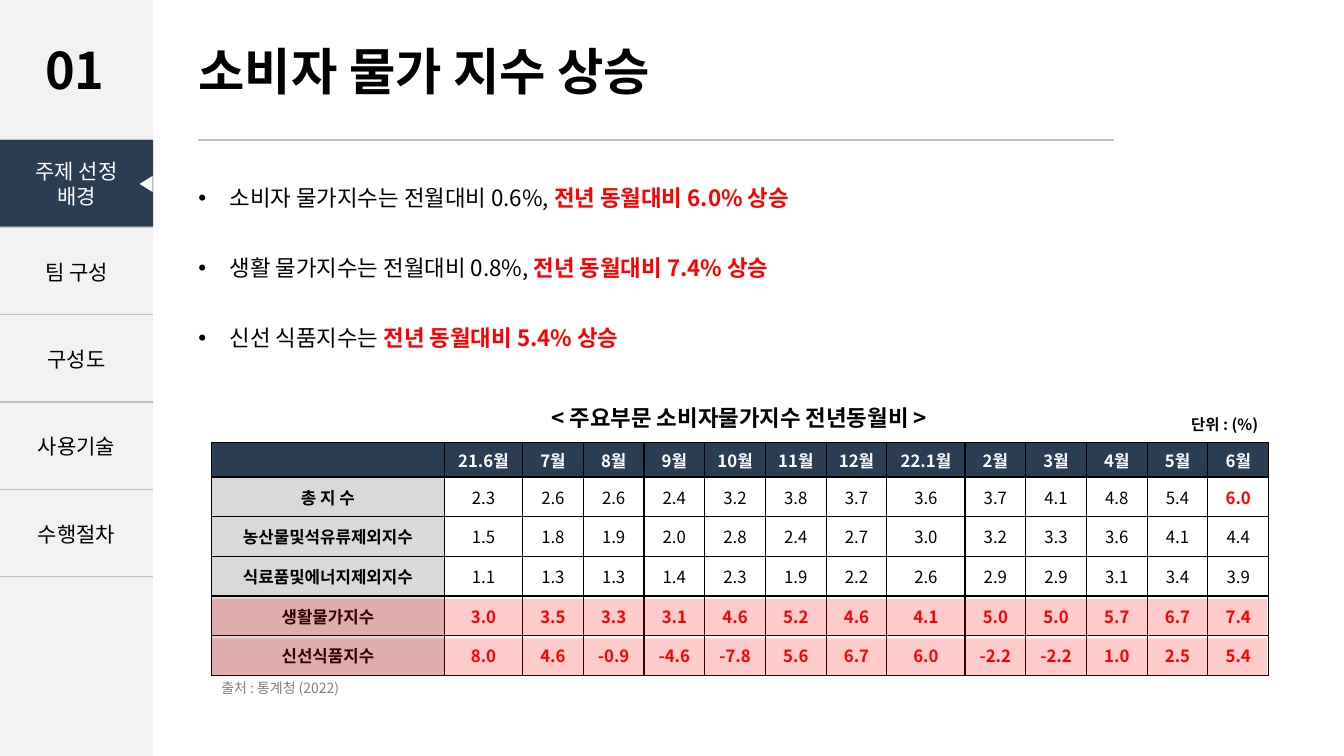
from dataclasses import dataclass

from lxml.etree import SubElement
from pptx import Presentation
from pptx.dml.color import RGBColor
from pptx.enum.shapes import MSO_CONNECTOR, MSO_SHAPE as Preset
from pptx.enum.text import MSO_ANCHOR as Anchor, PP_ALIGN as Align
from pptx.oxml.ns import qn
from pptx.util import Cm, Pt

FONT = "Noto Sans CJK KR"
COLORS = {
    "navy": "2A3D52", "black": "000000", "white": "FFFFFF", "red": "FF0000",
    "panel": "F2F2F2", "label": "D9D9D9", "rule": "BFBFBF", "source": "808080",
}
MONTHS = ["21.6월", "7월", "8월", "9월", "10월", "11월", "12월",
          "22.1월", "2월", "3월", "4월", "5월", "6월"]
WIDE_MONTHS = ("21.6월", "22.1월")
TABS = ["팀 구성", "구성도", "사용기술", "수행절차"]
TABLE_LEFT, TABLE_TOP, TABLE_WIDTH = 5.33, 11.15, 26.6
HEADER_HEIGHT, ROW_HEIGHT = 0.86, 1.0
SIDEBAR_WIDTH, RULE_TOP, TAB_HEIGHT = 3.86, 3.53, 2.2


@dataclass
class Style:
    size: float
    color: str = "black"
    bold: bool = False
    align: Align = Align.LEFT


@dataclass
class Label:
    text: str
    left: float
    top: float
    width: float
    height: float
    style: Style
    wrap: bool = True


@dataclass
class Bullet:
    plain: str
    stressed: str


@dataclass
class IndexRow:
    name: str
    values: str
    highlighted: bool = False


LABELS = [
    Label("< 주요부문 소비자물가지수 전년동월비 >", 10.16, 10.06, 16.94, 0.94,
          Style(16, bold=True, align=Align.CENTER)),
    Label("단위 : (%)", 29.77, 10.34, 2.74, 0.74, Style(11, bold=True)),
    Label("01", 0.89, 0.86, 2.08, 1.8, Style(36, bold=True), wrap=False),
    Label("출처 : 통계청 (2022)", 5.33, 16.99, 3.73, 0.69, Style(10, "source")),
]
BULLETS = [
    Bullet("소비자 물가지수는 전월대비 0.6%, ", "전년 동월대비 6.0% 상승"),
    Bullet("생활 물가지수는 전월대비 0.8%, ", "전년 동월대비 7.4% 상승"),
    Bullet("신선 식품지수는 ", "전년 동월대비 5.4% 상승"),
]
INDEX_ROWS = [
    IndexRow("총 지 수", "2.3 2.6 2.6 2.4 3.2 3.8 3.7 3.6 3.7 4.1 4.8 5.4 6.0"),
    IndexRow("농산물및석유류제외지수", "1.5 1.8 1.9 2.0 2.8 2.4 2.7 3.0 3.2 3.3 3.6 4.1 4.4"),
    IndexRow("식료품및에너지제외지수", "1.1 1.3 1.3 1.4 2.3 1.9 2.2 2.6 2.9 2.9 3.1 3.4 3.9"),
    IndexRow("생활물가지수", "3.0 3.5 3.3 3.1 4.6 5.2 4.6 4.1 5.0 5.0 5.7 6.7 7.4", True),
    IndexRow("신선식품지수", "8.0 4.6 -0.9 -4.6 -7.8 5.6 6.7 6.0 -2.2 -2.2 1.0 2.5 5.4", True),
]


def rgb(name: str) -> RGBColor:
    return RGBColor.from_string(COLORS[name])


def style_font(font, style: Style) -> None:
    font.name, font.size, font.bold = FONT, Pt(style.size), style.bold
    font.color.rgb = rgb(style.color)


def style_para(para, style: Style) -> None:
    """Format a whole paragraph, East Asian typeface included."""
    para.alignment = style.align
    style_font(para.font, style)
    defaults = para._p.pPr.find(qn("a:defRPr"))
    SubElement(defaults, qn("a:ea"), typeface=FONT)


def write(frame, text: str, style: Style) -> None:
    frame.text = text
    for para in frame.paragraphs:
        style_para(para, style)


def add_filled(shapes, preset, left: float, top: float, width: float, height: float, color: str):
    shape = shapes.add_shape(preset, Cm(left), Cm(top), Cm(width), Cm(height))
    shape.shadow.inherit = False
    shape.fill.solid()
    shape.fill.fore_color.rgb = rgb(color)
    shape.line.fill.background()
    return shape


def set_borders(cell, edges: dict[str, str | None]) -> None:
    """Draw 1 pt edges, keyed L, R, T, B; None hides an edge."""
    props = cell._tc.get_or_add_tcPr()
    for position, (edge, color) in enumerate(edges.items()):
        line = SubElement(props, qn(f"a:ln{edge}"), w=str(Pt(1)))
        props.insert(position, line)
        if color is None:
            SubElement(line, qn("a:noFill"))
        else:
            fill = SubElement(line, qn("a:solidFill"))
            SubElement(fill, qn("a:srgbClr"), val=COLORS[color])


def add_plain_table(slide, left: float, top: float, widths: list[float], heights: list[float]):
    frame = slide.shapes.add_table(len(heights), len(widths), Cm(left), Cm(top),
                                   Cm(sum(widths)), Cm(sum(heights)))
    table = frame.table
    table.first_row = table.horz_banding = False
    for column, width in zip(table.columns, widths):
        column.width = Cm(width)
    for row, height in zip(table.rows, heights):
        row.height = Cm(height)
    return table


def fill_cell(cell, text: str, style: Style, color: str) -> None:
    write(cell.text_frame, text, style)
    cell.vertical_anchor = Anchor.MIDDLE
    cell.margin_left = cell.margin_right = Cm(0.1)
    cell.fill.solid()
    cell.fill.fore_color.rgb = rgb(color)
    set_borders(cell, dict.fromkeys("LRTB", "black"))


def add_title(slide) -> None:
    title = slide.shapes.title
    title.left, title.top, title.width, title.height = Cm(4.75), Cm(0.86), Cm(13.1), Cm(1.8)
    write(title.text_frame, "소비자 물가 지수 상승", Style(36, bold=True))
    title.text_frame.vertical_anchor = Anchor.MIDDLE
    rule = slide.shapes.add_connector(MSO_CONNECTOR.STRAIGHT, Cm(4.98), Cm(RULE_TOP),
                                      Cm(28.07), Cm(RULE_TOP))
    rule.line.color.rgb = rgb("rule")
    rule.line.width = Pt(1.5)
    SubElement(rule._element.spPr, qn("a:effectLst"))


def add_label(slide, label: Label) -> None:
    box = slide.shapes.add_textbox(Cm(label.left), Cm(label.top), Cm(label.width), Cm(label.height))
    box.text_frame.word_wrap = label.wrap
    write(box.text_frame, label.text, label.style)


def add_bullets(slide) -> None:
    frame = slide.shapes.add_textbox(Cm(4.75), Cm(4.32), Cm(28.68), Cm(4.6)).text_frame
    frame.word_wrap = True
    for number, bullet in enumerate(BULLETS):
        para = frame.add_paragraph() if number else frame.paragraphs[0]
        para.line_spacing = 1.3
        para.space_before = Pt(25 if number else 0)
        props = para._p.get_or_add_pPr()
        props.set("marL", str(Cm(0.79)))
        props.set("indent", str(Cm(-0.79)))
        SubElement(props, qn("a:buFont"), typeface="Arial")
        SubElement(props, qn("a:buChar"), char="•")
        style_para(para, Style(16))
        para.add_run().text = bullet.plain
        stressed = para.add_run()
        stressed.text = bullet.stressed
        stressed.font.bold = True
        stressed.font.color.rgb = rgb("red")


def add_index_table(slide) -> None:
    widths = [5.87] + [1.97 if month in WIDE_MONTHS else 1.53 for month in MONTHS]
    heights = [HEADER_HEIGHT] + [ROW_HEIGHT] * len(INDEX_ROWS)
    table = add_plain_table(slide, TABLE_LEFT, TABLE_TOP, widths, heights)
    header = Style(12, "white", True, Align.CENTER)
    name = Style(12, "black", True, Align.CENTER)
    normal = Style(12, "black", False, Align.CENTER)
    stressed = Style(12, "red", True, Align.CENTER)
    for column, month in enumerate(["", *MONTHS]):
        fill_cell(table.cell(0, column), month, header, "navy")
    for number, row in enumerate(INDEX_ROWS, 1):
        fill_cell(table.cell(number, 0), row.name, name, "label")
        for column, value in enumerate(row.values.split(), 1):
            latest_total = number == 1 and column == len(MONTHS)
            style = stressed if row.highlighted or latest_total else normal
            fill_cell(table.cell(number, column), value, style, "white")


def add_highlights(slide) -> None:
    for number, row in enumerate(INDEX_ROWS):
        if row.highlighted:
            top = TABLE_TOP + HEADER_HEIGHT + number * ROW_HEIGHT + 0.08
            band = add_filled(slide.shapes, Preset.RECTANGLE, TABLE_LEFT, top, TABLE_WIDTH, 0.94, "red")
            color = band._element.spPr.find(qn("a:solidFill")).find(qn("a:srgbClr"))
            SubElement(color, qn("a:alpha"), val="20000")


def add_sidebar(slide) -> None:
    add_filled(slide.shapes, Preset.RECTANGLE, 0, 0, SIDEBAR_WIDTH, 19.05, "panel")
    table = add_plain_table(slide, 0, RULE_TOP, [SIDEBAR_WIDTH], [TAB_HEIGHT] * (len(TABS) + 1))
    for number, tab in enumerate(["", *TABS]):
        cell = table.cell(number, 0)
        write(cell.text_frame, tab, Style(15, align=Align.CENTER))
        cell.vertical_anchor = Anchor.MIDDLE
        cell.fill.background()
        set_borders(cell, {"L": None, "R": None, "T": "rule", "B": "rule"})
    group = slide.shapes.add_group_shape()
    active = add_filled(group.shapes, Preset.RECTANGLE, 0, RULE_TOP, SIDEBAR_WIDTH, 2.18, "navy")
    active.text_frame.vertical_anchor = Anchor.MIDDLE
    write(active.text_frame, "주제 선정\n배경", Style(15, "white", align=Align.CENTER))
    pointer = add_filled(group.shapes, Preset.ISOSCELES_TRIANGLE, 3.48, 4.47, 0.41, 0.33, "white")
    pointer.rotation = 270


def main() -> None:
    deck = Presentation()
    deck.slide_width, deck.slide_height = Cm(33.87), Cm(19.05)
    slide = deck.slides.add_slide(deck.slide_layouts[5])
    add_title(slide)
    add_index_table(slide)
    add_bullets(slide)
    add_highlights(slide)
    add_sidebar(slide)
    for label in LABELS:
        add_label(slide, label)
    deck.save("out.pptx")


if __name__ == "__main__":
    main()
